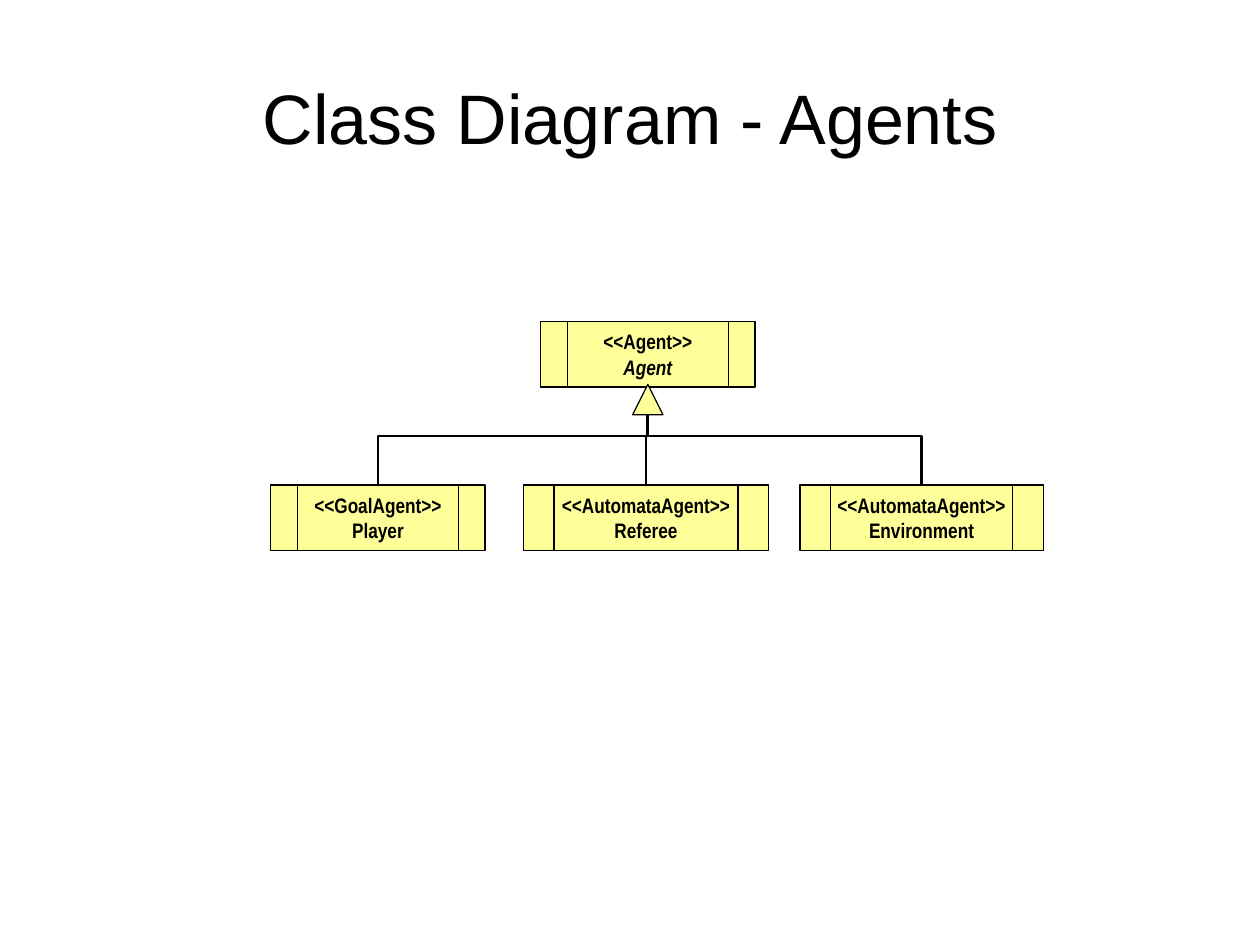
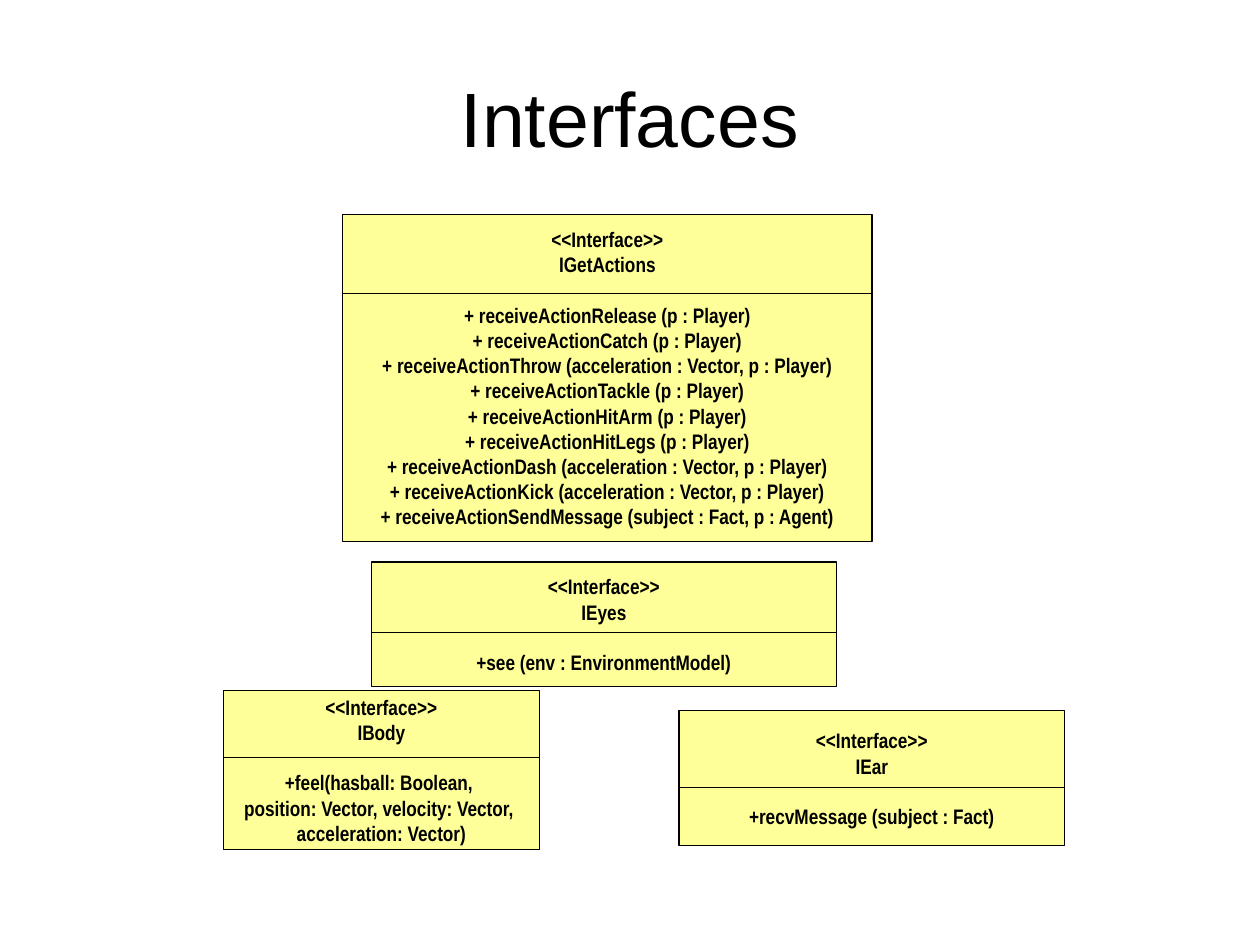
import dataclasses

import lxml.etree
import pptx
import pptx.dml.color
import pptx.enum.shapes
import pptx.enum.text
import pptx.oxml.ns
import pptx.util

Cm = pptx.util.Cm
Pt = pptx.util.Pt
Shape = pptx.enum.shapes.MSO_SHAPE
Connector = pptx.enum.shapes.MSO_CONNECTOR
qn = pptx.oxml.ns.qn


@dataclasses.dataclass(frozen=True)
class Theme:
    """Colours, fonts and sizes shared by the slides."""
    ink: pptx.dml.color.RGBColor = pptx.dml.color.RGBColor(0, 0, 0)
    box_fill: pptx.dml.color.RGBColor = pptx.dml.color.RGBColor(0xFF, 0xFF, 0x99)
    title_font: str = "Arial"
    box_font: str = "Arial Narrow"
    box_size: pptx.util.Length = Pt(12)
    line_height: pptx.util.Length = Pt(14.4)
    outline: pptx.util.Length = Pt(0.75)
    relation: pptx.util.Length = Pt(1.5)


THEME = Theme()

AGENT_BOX = (10.9, 6.48, 4.32, 1.32)
CHILD_TOP, CHILD_HEIGHT = 9.78, 1.32
CHILD_AGENTS = [
    (16.13, 4.9, "<<AutomataAgent>>", "Environment"),
    (10.55, 4.95, "<<AutomataAgent>>", "Referee"),
    (5.46, 4.32, "<<GoalAgent>>", "Player"),
]
INTERFACES = [
    ((6.91, 4.32, 10.67, 6.6), 1.6, "IGetActions", [
        "+ receiveActionRelease (p : Player)",
        "+ receiveActionCatch (p : Player)",
        "+ receiveActionThrow (acceleration : Vector, p : Player)",
        "+ receiveActionTackle (p : Player)",
        "+ receiveActionHitArm (p : Player)",
        "+ receiveActionHitLegs (p : Player)",
        "+ receiveActionDash (acceleration : Vector, p : Player)",
        "+ receiveActionKick (acceleration : Vector, p : Player)",
        "+ receiveActionSendMessage (subject : Fact, p : Agent)",
    ]),
    ((7.49, 11.33, 9.37, 2.51), 1.42, "IEyes", ["+see (env : EnvironmentModel)"]),
    ((13.69, 14.33, 7.77, 2.72), 1.55, "IEar", ["+recvMessage (subject : Fact)"]),
    ((4.5, 13.92, 6.38, 3.2), 1.35, "IBody", [
        "+feel(hasball: Boolean, ",
        "position: Vector, velocity: Vector, ",
        "acceleration: Vector)",
    ]),
]


def write_lines(shape, lines, font_name, size, bold=False):
    """Write centred paragraphs, anchored in the middle, and return them."""
    frame = shape.text_frame
    frame.vertical_anchor = pptx.enum.text.MSO_ANCHOR.MIDDLE
    frame.text = "\n".join(lines)
    for paragraph in frame.paragraphs:
        paragraph.alignment = pptx.enum.text.PP_ALIGN.CENTER
        paragraph.font.name = font_name
        paragraph.font.size = size
        paragraph.font.bold = bold
        paragraph.font.color.rgb = THEME.ink
    return frame.paragraphs


def add_title_slide(presentation, title, size):
    """Add a blank slide with a centred title."""
    slide = presentation.slides.add_slide(presentation.slide_layouts[6])
    box = slide.shapes.add_textbox(Cm(1.27), Cm(0.76), Cm(22.86), Cm(3.18))
    box.text_frame.word_wrap = True
    write_lines(box, [title], THEME.title_font, size)
    return slide


def add_box(shapes, kind, box, lines=()):
    """Add a yellow outlined shape with optional bold lines of text."""
    shape = shapes.add_shape(kind, *(Cm(length) for length in box))
    shape.shadow.inherit = False
    shape.fill.solid()
    shape.fill.fore_color.rgb = THEME.box_fill
    shape.line.color.rgb = THEME.ink
    shape.line.width = THEME.outline
    if lines:
        shape.text_frame.word_wrap = False
        write_lines(shape, lines, THEME.box_font, THEME.box_size, bold=True)
    return shape


def style_connector(connector, width):
    """Give a connector a plain black line without shadow."""
    connector.line.color.rgb = THEME.ink
    connector.line.width = width
    lxml.etree.SubElement(connector._element.spPr, qn("a:effectLst"))


def add_inheritance(shapes, child, parent):
    """Join the top of a child to the bottom of its parent with an upward elbow."""
    connector = shapes.add_connector(Connector.ELBOW, 0, 0, 0, 0)
    connector.begin_connect(child, 0)
    connector.end_connect(parent, 2)
    run = connector.end_x - connector.begin_x
    rise = connector.begin_y - connector.end_y
    middle_x = (connector.begin_x + connector.end_x) // 2
    middle_y = (connector.begin_y + connector.end_y) // 2
    connector.begin_x, connector.end_x = middle_x - rise // 2, middle_x + rise // 2
    connector.begin_y, connector.end_y = middle_y - run // 2, middle_y + run // 2
    transform = connector._element.spPr.find(qn("a:xfrm"))
    transform.set("rot", str(270 * 60000))
    style_connector(connector, THEME.relation)
    line = connector.line._get_or_add_ln()
    lxml.etree.SubElement(line, qn("a:tailEnd"), type="arrow")


def add_agent_tree(shapes):
    """Draw the base agent, its subclasses and the inheritance arrow."""
    left, top, width, height = AGENT_BOX
    parent = add_box(shapes, Shape.FLOWCHART_PREDEFINED_PROCESS, AGENT_BOX,
                     ["<<Agent>>", "Agent"])
    parent.text_frame.paragraphs[1].font.italic = True
    for child_left, child_width, stereotype, name in CHILD_AGENTS:
        child = add_box(shapes, Shape.FLOWCHART_PREDEFINED_PROCESS,
                        (child_left, CHILD_TOP, child_width, CHILD_HEIGHT),
                        [stereotype, name])
        add_inheritance(shapes, child, parent)
    side = 0.61
    add_box(shapes, Shape.ISOSCELES_TRIANGLE,
            (left + (width - side) / 2, top + height - 0.05, side, side))


def add_interface(shapes, box, header_height, name, operations):
    """Draw one interface as a group of a box and a divider below its header."""
    left, top, width, _ = box
    group = shapes.add_group_shape()
    lines = ["<<Interface>>", name, *operations]
    shape = add_box(group.shapes, Shape.RECTANGLE, box, lines)
    shape.text_frame.paragraphs[2].space_before = THEME.line_height
    divider_y = Cm(top + header_height)
    divider = group.shapes.add_connector(
        Connector.STRAIGHT, Cm(left), divider_y, Cm(left + width), divider_y)
    style_connector(divider, THEME.outline)


def main():
    """Build both slides and save the presentation."""
    presentation = pptx.Presentation()
    presentation.slide_width = Cm(25.4)
    presentation.slide_height = Cm(19.05)
    agents = add_title_slide(presentation, "Class Diagram - Agents", Pt(40))
    add_agent_tree(agents.shapes)
    interfaces = add_title_slide(presentation, "Interfaces", Pt(44))
    for interface in INTERFACES:
        add_interface(interfaces.shapes, *interface)
    presentation.save("out.pptx")


if __name__ == "__main__":
    main()
